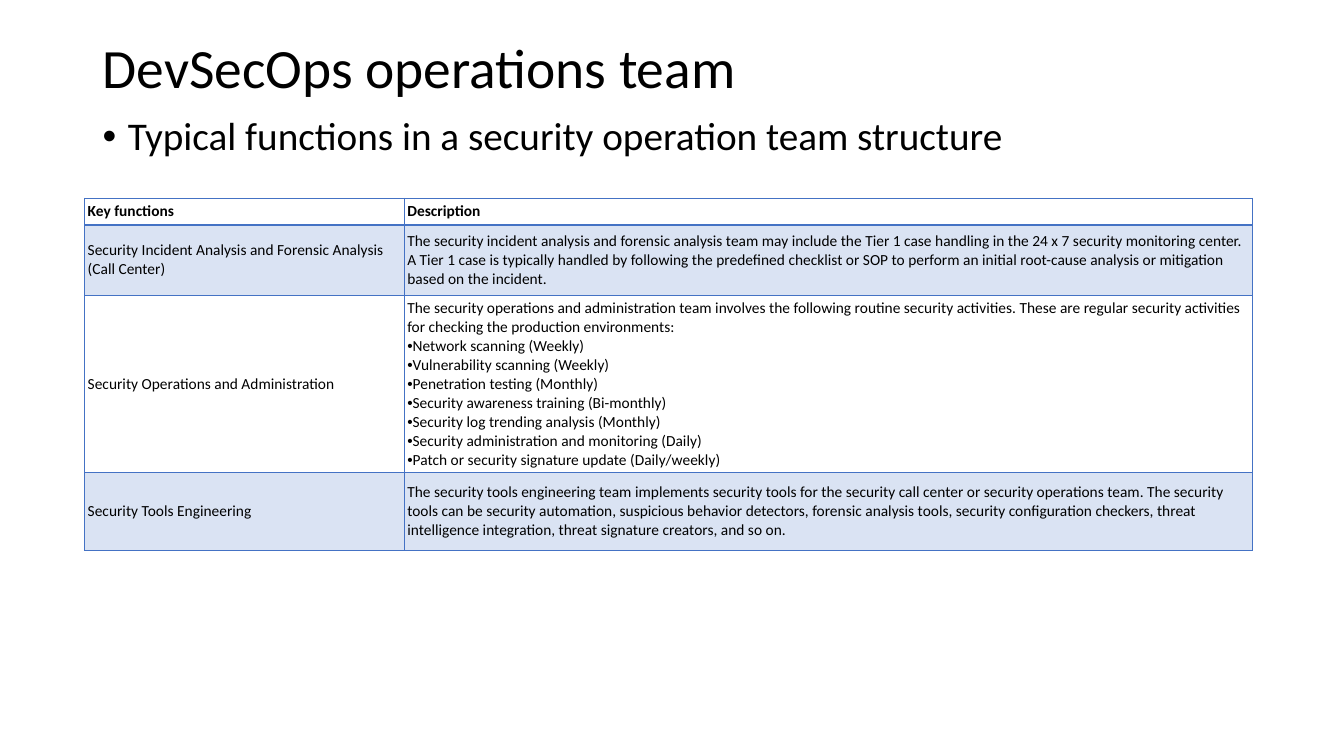
from lxml.etree import SubElement
from pptx import Presentation
from pptx.dml.color import RGBColor
from pptx.enum.text import MSO_ANCHOR, MSO_AUTO_SIZE, PP_ALIGN
from pptx.oxml.ns import qn
from pptx.util import Inches, Pt

TITLE = "DevSecOps operations team"
SUBTITLE = "Typical functions in a security operation team structure"
# Each row: key function, description, bulleted activities
ROWS = [
    ("Key functions", "Description", []),
    ("Security Incident Analysis and Forensic Analysis (Call Center)",
     "The security incident analysis and forensic analysis team may include the Tier 1 case "
     "handling in the 24 x 7 security monitoring center. A Tier 1 case is typically handled by "
     "following the predefined checklist or SOP to perform an initial root-cause analysis or "
     "mitigation based on the incident.", []),
    ("Security Operations and Administration",
     "The security operations and administration team involves the following routine security "
     "activities. These are regular security activities for checking the production environments:",
     ["Network scanning (Weekly)",
      "Vulnerability scanning (Weekly)",
      "Penetration testing (Monthly)",
      "Security awareness training (Bi-monthly)",
      "Security log trending analysis (Monthly)",
      "Security administration and monitoring (Daily)",
      "Patch or security signature update (Daily/weekly)"]),
    ("Security Tools Engineering",
     "The security tools engineering team implements security tools for the security call center "
     "or security operations team. The security tools can be security automation, suspicious "
     "behavior detectors, forensic analysis tools, security configuration checkers, threat "
     "intelligence integration, threat signature creators, and so on.", []),
]
COLORS = {"text": "000000", "border": "4472C4", "band": "DAE3F3"}
FONT = "Calibri"
COL_WIDTHS = [3.17, 8.41]
ROW_HEIGHTS = [0.26, 0.7, 1.76, 0.77]
TABLE_LEFT, TABLE_TOP = 0.84, 1.97
TEXT_LEFT, TEXT_WIDTH = 0.92, 11.5
CELL_MARGIN = Inches(0.03)


def style(p, size, bold=False):
    for r in p.runs:
        r.font.name, r.font.size, r.font.bold = FONT, Pt(size), bold
        r.font.color.rgb = RGBColor.from_string(COLORS["text"])


def add_bullet(p, indent=0.0):
    """Give the paragraph a bullet with a hanging indent in inches."""
    pPr = p._p.get_or_add_pPr()
    pPr.set("marL", str(Inches(indent)))
    pPr.set("indent", str(-Inches(indent)))
    SubElement(pPr, qn("a:buFont"), typeface="Arial")
    SubElement(pPr, qn("a:buChar"), char="•")


def add_borders(cell, top, bottom):
    """Draw the four cell borders; top and bottom are widths in points."""
    tcPr = cell._tc.get_or_add_tcPr()
    for side, width in (("L", 1), ("R", 1), ("T", top), ("B", bottom)):
        ln = SubElement(tcPr, qn(f"a:ln{side}"), w=str(Pt(width)))
        fill = SubElement(ln, qn("a:solidFill"))
        SubElement(fill, qn("a:srgbClr"), val=COLORS["border"])


def fill_cell(cell, lines, row):
    cell.margin_left = cell.margin_right = CELL_MARGIN
    cell.margin_top = cell.margin_bottom = CELL_MARGIN
    cell.vertical_anchor = MSO_ANCHOR.MIDDLE
    add_borders(cell, top=2 if row == 1 else 1, bottom=2 if row == 0 else 1)
    if row % 2:
        cell.fill.solid()
        cell.fill.fore_color.rgb = RGBColor.from_string(COLORS["band"])
    else:
        cell.fill.background()
    cell.text_frame.text = "\n".join(lines)
    for i, p in enumerate(cell.text_frame.paragraphs):
        if i:
            add_bullet(p)
        style(p, 11, bold=row == 0)


def add_heading(s):
    title = s.shapes.title
    title.left, title.top = Inches(TEXT_LEFT), Inches(0.4)
    title.width, title.height = Inches(TEXT_WIDTH), Inches(0.6)
    subtitle = s.shapes.add_textbox(Inches(TEXT_LEFT), Inches(1.11), Inches(TEXT_WIDTH), Inches(0.6))
    for sp, text, size in ((title, TITLE, 39.6), (subtitle, SUBTITLE, 28)):
        tf = sp.text_frame
        tf.text = text
        tf.word_wrap, tf.auto_size = True, MSO_AUTO_SIZE.NONE
        p = tf.paragraphs[0]
        if sp is subtitle:
            add_bullet(p, 0.25)
        p.alignment, p.line_spacing = PP_ALIGN.LEFT, 0.9
        style(p, size)
    title.text_frame.vertical_anchor = MSO_ANCHOR.MIDDLE


def add_functions_table(s):
    table = s.shapes.add_table(
        len(ROWS), len(COL_WIDTHS), Inches(TABLE_LEFT), Inches(TABLE_TOP),
        Inches(sum(COL_WIDTHS)), Inches(sum(ROW_HEIGHTS))).table
    table.first_row = table.horz_banding = False
    for col, width in zip(table.columns, COL_WIDTHS):
        col.width = Inches(width)
    for i, (function, description, activities) in enumerate(ROWS):
        table.rows[i].height = Inches(ROW_HEIGHTS[i])
        fill_cell(table.cell(i, 0), [function], i)
        fill_cell(table.cell(i, 1), [description, *activities], i)


def main():
    prs = Presentation()
    prs.slide_width, prs.slide_height = Inches(13.33), Inches(7.5)
    s = prs.slides.add_slide(prs.slide_layouts[5])
    add_heading(s)
    add_functions_table(s)
    prs.save("out.pptx")


if __name__ == "__main__":
    main()
